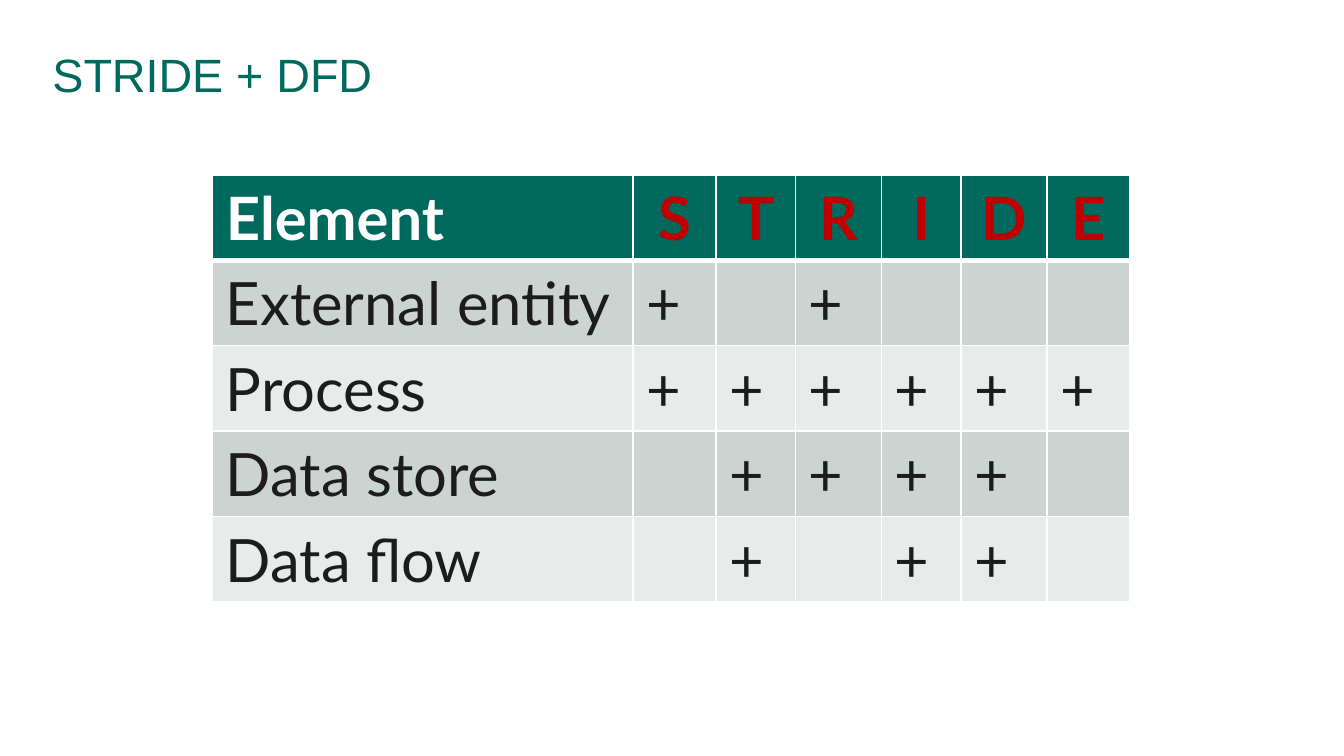
from lxml import etree
from pptx import Presentation, util as u
from pptx.dml.color import RGBColor
from pptx.enum import text
from pptx.oxml import ns

GREEN = RGBColor(0x00, 0x69, 0x5D)
RED = RGBColor(0xC0, 0x00, 0x00)
WHITE = RGBColor(0xFF, 0xFF, 0xFF)
INK = RGBColor(0x1C, 0x1C, 0x1C)
BANDS = [RGBColor(0xCC, 0xD4, 0xD2), RGBColor(0xE7, 0xEB, 0xEA)]

THREATS = "STRIDE"
ELEMENTS = {
    "External entity": "SR",
    "Process": "STRIDE",
    "Data store": "TRID",
    "Data flow": "TID",
}
COLUMN_WIDTHS = [3.13, 0.62, 0.59, 0.64, 0.59, 0.64, 0.62]
TABLE_HEIGHT = 3.17


def add_run(para, wording, font, size, color, bold=False):
    span = para.add_run()
    span.text = wording
    span.font.name = font
    span.font.size = u.Pt(size)
    span.font.color.rgb = color
    span.font.bold = bold


def add_border(cell, position, side, points):
    line = etree.Element(ns.qn("a:ln" + side), w=str(u.Pt(points)))
    fill = etree.SubElement(line, ns.qn("a:solidFill"))
    etree.SubElement(fill, ns.qn("a:srgbClr"), val=str(WHITE))
    cell._tc.get_or_add_tcPr().insert(position, line)


deck = Presentation()
deck.slide_width = u.Inches(10)
deck.slide_height = u.Inches(10 * 9 / 16)
page = deck.slides.add_slide(deck.slide_layouts[5])

title = page.shapes.title
title.left, title.top = u.Inches(0.39), u.Inches(0.35)
title.width, title.height = u.Inches(9.22), u.Inches(0.74)
frame = title.text_frame
frame.margin_left = frame.margin_top = frame.margin_right = frame.margin_bottom = 0
frame.vertical_anchor = text.MSO_ANCHOR.TOP
frame.auto_size = text.MSO_AUTO_SIZE.NONE
para = frame.paragraphs[0]
para.alignment = text.PP_ALIGN.LEFT
para.line_spacing = u.Pt(29.2)
add_run(para, "STRIDE + DFD", "Arial", 25, GREEN)

rows = [["Element", *THREATS]]
for element, exposed in ELEMENTS.items():
    rows.append([element] + ["+" if threat in exposed else "" for threat in THREATS])

table = page.shapes.add_table(
    len(rows), len(COLUMN_WIDTHS), u.Inches(1.58), u.Inches(1.3),
    u.Inches(sum(COLUMN_WIDTHS)), u.Inches(TABLE_HEIGHT),
).table
for column, width in zip(table.columns, COLUMN_WIDTHS):
    column.width = u.Inches(width)

for r, row in enumerate(rows):
    header = r == 0
    for c, wording in enumerate(row):
        cell = table.cell(r, c)
        cell.fill.solid()
        cell.fill.fore_color.rgb = GREEN if header else BANDS[(r - 1) % 2]
        for position, side in enumerate("LRTB"):
            thick = (header and side == "B") or (r == 1 and side == "T")
            add_border(cell, position, side, 3 if thick else 1)
        if not wording:
            continue
        para = cell.text_frame.paragraphs[0]
        if header and c:
            para.alignment = text.PP_ALIGN.CENTER
        color = INK if not header else RED if c else WHITE
        add_run(para, wording, "Lato", 32, color, header)

deck.save("out.pptx")
